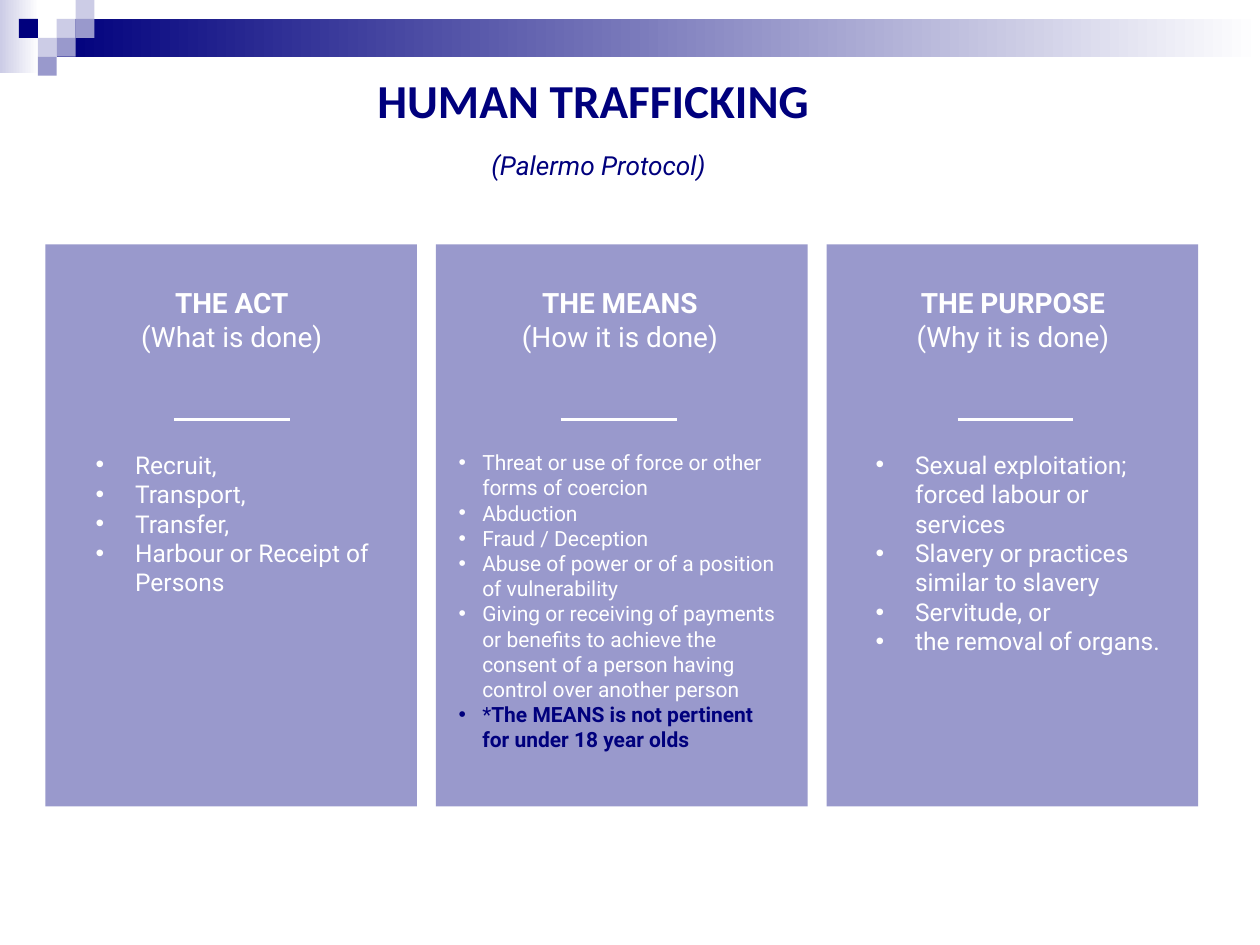
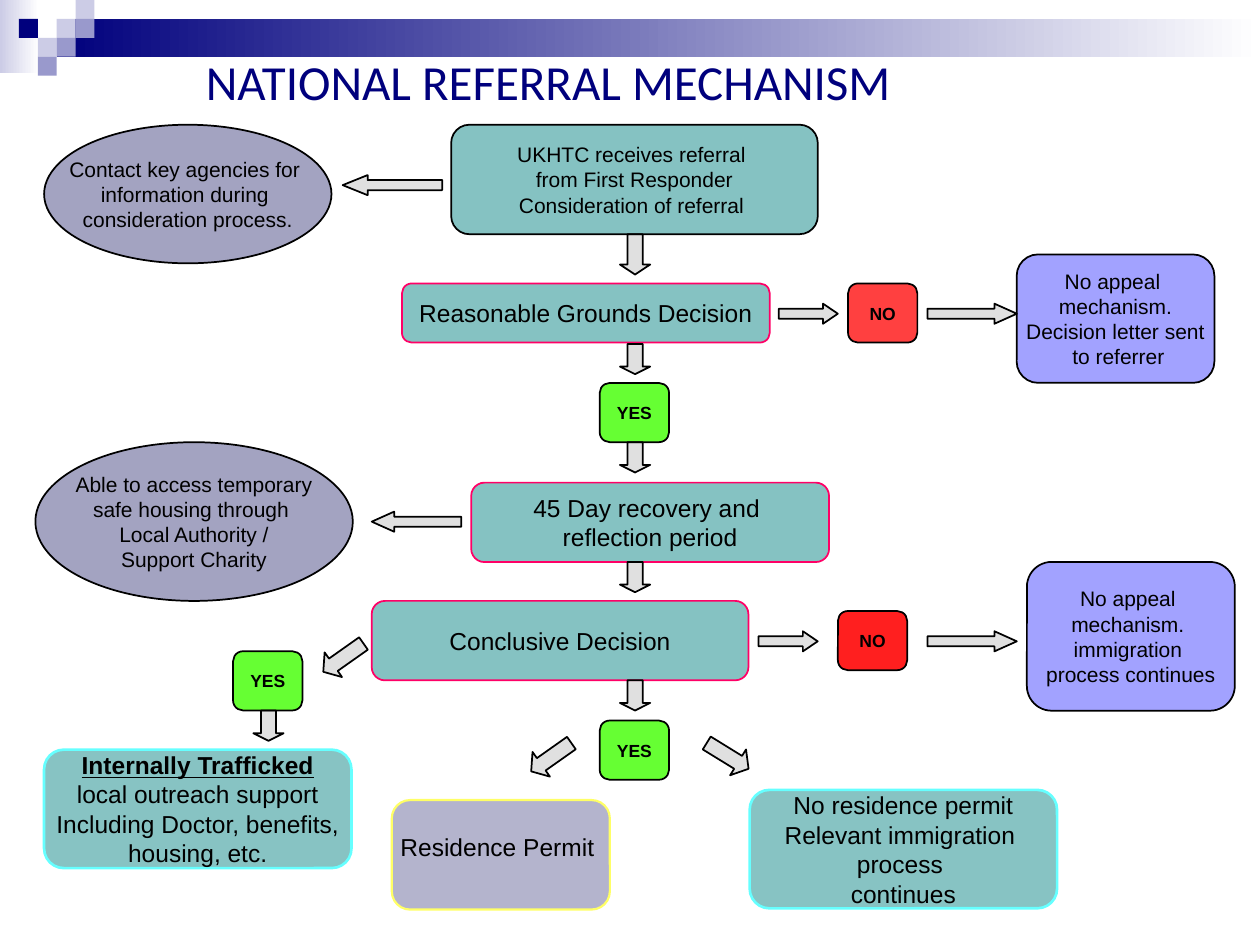
from dataclasses import dataclass
from typing import Any

from lxml.etree import SubElement
from pptx import Presentation
from pptx.dml.color import RGBColor
from pptx.enum.shapes import MSO_CONNECTOR as Link, MSO_SHAPE as Geo
from pptx.enum.text import MSO_ANCHOR as Anchor, MSO_AUTO_SIZE as Auto, PP_ALIGN as Align
from pptx.oxml.ns import qn
from pptx.util import Pt

NAVY, LILAC, PALE = "00007D", "9999CC", "CCCCE6"
WHITE, BLACK = "FFFFFF", "000000"
TEAL, SLATE, PINK = "008080", "666699", "FF0066"
UNIT = 10.8  # side of one square in the corner pattern

Box = tuple[float, float, float, float]
Bits = list[tuple[str, dict]]  # the runs of one paragraph


@dataclass(frozen=True)
class Card:
    head: str
    note: str
    head_x: float
    rule_x: float
    list_box: Box
    size: float
    indent: float
    items: tuple[str, ...]


@dataclass(frozen=True)
class Look:
    fill: str
    alpha: int = 100
    line: str = BLACK
    width: float = 1
    size: float = 12
    bold: bool = False
    geo: Any = Geo.ROUNDED_RECTANGLE


@dataclass(frozen=True)
class Node:
    look: Look
    box: Box
    text: str
    foot: float = 3.6  # bottom inset
    lead: bool = False  # first line bold and underlined


@dataclass(frozen=True)
class Arrow:
    """A block arrow, placed by its centre."""
    x: float
    y: float
    long: float
    thick: float = 17.3
    turn: float = 0
    flip: bool = False


STEP = Look(TEAL, 48, PINK, size=14)
START = Look(TEAL, 48)
END = Look(TEAL, 47, "66FFFF", 1.5, 14)
PERMIT = Look(SLATE, 49, "FFFF66", 1.25, 14)
SIDE = Look(SLATE, 60, geo=Geo.OVAL)
APPEAL = Look("9999FF", 91)
YES = Look("66FF33", size=10, bold=True)
NO_TOP = Look("FF0000", 75, size=10, bold=True)
NO_LOW = Look("FF0000", 88, size=10, bold=True)
FLOW = Look("C0C0C0", 48, geo=Geo.RIGHT_ARROW)

CARDS = (
    Card("THE ACT", "(What is done)", 44.6, 99.4, (47.5, 253.4, 191.5, 92.2), 14, 22.5,
         ("Recruit,", "Transport,", "Transfer,", "Harbour or Receipt of Persons")),
    Card("THE MEANS", "(How it is done)", 266.4, 320.4, (254.9, 253.4, 196.6, 181.4), 12, 13.5,
         ("Threat or use of force or other forms of coercion", "Abduction",
          "Fraud / Deception", "Abuse of power or of a position of vulnerability",
          "Giving or receiving of payments or benefits to achieve the consent "
          "of a person having control over another person",
          "*The MEANS is not pertinent for under 18 year olds")),
    Card("THE PURPOSE", "(Why it is done)", 491, 547.2, (493.2, 253.4, 191.5, 126), 14, 22.5,
         ("Sexual exploitation; forced labour or services",
          "Slavery or practices similar to slavery", "Servitude, or",
          "the removal of organs.")),
)

TAG = (39.6, 33.8)
NODES = (
    Node(START, (257.8, 71.3, 209.5, 62.6),
         "UKHTC receives referral \nfrom First Responder\nConsideration of referral "),
    Node(STEP, (229.7, 162, 210.2, 33.8), "Reasonable Grounds Decision"),
    Node(SIDE, (25.2, 71.3, 164.2, 79.2),
         "Contact key agencies for \ninformation during \nconsideration process."),
    Node(PERMIT, (223.9, 457.2, 124.6, 62.6), "Residence Permit ", foot=13),
    Node(END, (428.4, 451.4, 175.7, 67.7),
         "No residence permit\nRelevant immigration \nprocess \ncontinues"),
    Node(STEP, (212.4, 343.4, 215.3, 45.4), "Conclusive Decision"),
    Node(STEP, (269.3, 275.8, 204.5, 45.4), "45 Day recovery and \nreflection period"),
    Node(YES, (342.7, 218.9, *TAG), "YES"),
    Node(NO_TOP, (484.6, 162, *TAG), "NO"),
    Node(SIDE, (20.2, 252.7, 181.4, 90.7),
         "Able to access temporary\nsafe housing through \nLocal Authority /\n Support Charity "),
    Node(APPEAL, (581, 145.4, 113, 73.4),
         "No appeal \nmechanism.\nDecision letter sent\n to referrer"),
    Node(APPEAL, (586.8, 321.1, 118.8, 85),
         "No appeal \nmechanism. \nimmigration \nprocess continues"),
    Node(NO_LOW, (478.8, 349.2, *TAG), "NO"),
    Node(YES, (342.7, 411.8, *TAG), "YES"),
    Node(END, (25.2, 428.4, 175.7, 67.7),
         "Internally Trafficked\nlocal outreach support\n"
         "Including Doctor, benefits,\nhousing, etc.", lead=True),
    Node(YES, (133.2, 372.2, *TAG), "YES"),
)

AXIS = 362.9
ARROWS = (
    Arrow(224.3, 105.8, 56.9, 11.5, flip=True),
    Arrow(238, 298.1, 51.1, 11.5, 180),
    *(Arrow(555.5, y, 51.1, 11.5) for y in (179.3, 366.5)),
    Arrow(461.9, 179.3, 33.8, 11.5),
    Arrow(450.4, 366.5, 33.8, 11.5),
    Arrow(AXIS, 145.4, 23, turn=90),
    *(Arrow(AXIS, y, 17.3, turn=90) for y in (205.2, 261.4, 329.8, 397.4)),
    Arrow(153.4, 414.7, 17.3, turn=90),
    Arrow(315, 432.7, 28.1, turn=144.8),
    Arrow(415.8, 432, 28.1, turn=31.6),
    Arrow(196.2, 375.8, 28.1, turn=144.8),
)


def rgb(code: str) -> RGBColor:
    return RGBColor.from_string(code)


def apply(item: Any, **values: Any) -> None:
    for name, value in values.items():
        setattr(item, name, value)


def place(shape: Any, box: Box) -> None:
    apply(shape, **dict(zip(("left", "top", "width", "height"), map(Pt, box))))


def paint(shape: Any, code: str, alpha: int = 100) -> None:
    shape.fill.solid()
    shape.fill.fore_color.rgb = rgb(code)
    if alpha < 100:
        tint = next(shape.element.spPr.iter(qn("a:srgbClr")))
        SubElement(tint, qn("a:alpha"), val=str(alpha * 1000))


def add(slide: Any, geo: Any, box: Box) -> Any:
    shape = slide.shapes.add_shape(geo, *map(Pt, box))
    shape.shadow.inherit = False
    shape.line.fill.background()
    return shape


def dress(slide: Any, look: Look, box: Box) -> Any:
    """Add a shape with the fill and outline of a look."""
    shape = add(slide, look.geo, box)
    paint(shape, look.fill, look.alpha)
    shape.line.color.rgb = rgb(look.line)
    shape.line.width = Pt(look.width)
    return shape


def write(frame: Any, paras: list[Bits], font: str, size: float, code: str,
          align: Any = Align.CENTER, indent: float = 0) -> None:
    """Fill a frame; an indent above zero gives bullets."""
    for i, bits in enumerate(paras):
        para = frame.add_paragraph() if i else frame.paragraphs[0]
        props = para._p.get_or_add_pPr()
        props.set("marL", str(Pt(indent)))
        props.set("indent", str(-Pt(indent)))
        if indent:
            SubElement(props, qn("a:buFont"), typeface="Arial")
            SubElement(props, qn("a:buChar"), char="•")
        else:
            SubElement(props, qn("a:buNone"))
        apply(para, alignment=align, space_before=Pt(0))
        for text, extra in bits:
            run = para.add_run()
            run.text = text
            values = {"name": font, "size": Pt(size), "bold": False, **extra}
            run.font.color.rgb = rgb(values.pop("code", code))
            apply(run.font, **values)


def hold(shape: Any, box: Box, anchor: Any = Anchor.TOP) -> Any:
    """Place a text holder and return its frame."""
    place(shape, box)
    frame = shape.text_frame
    apply(frame, word_wrap=True, auto_size=Auto.NONE, vertical_anchor=anchor)
    return frame


def head(slide: Any, text: str, box: Box, size: float, bold: bool) -> None:
    frame = hold(slide.shapes.title, box, Anchor.MIDDLE)
    write(frame, [[(text, {"bold": bold})]], "Calibri", size, NAVY)


def add_band(deck: Any, slide: Any) -> None:
    """Draw the top band and its squares, then move them to the master."""
    parts = []
    for box, code in (((0, 0, 22.3, 41.8), PALE), ((32.4, 10.8, 687.6, 21.6), NAVY)):
        shape = add(slide, Geo.RECTANGLE, box)
        shape.fill.gradient()
        shape.fill.gradient_angle = 0
        for stop, tone in zip(shape.fill.gradient_stops, (code, WHITE)):
            stop.color.rgb = rgb(tone)
        parts.append(shape)
    for col, row, code in ((3, 1, PALE), (4, 0, PALE), (4, 1, LILAC), (2, 2, PALE),
                           (1, 1, NAVY), (3, 2, LILAC), (2, 3, LILAC)):
        shape = add(slide, Geo.RECTANGLE, (col * UNIT, row * UNIT, UNIT, UNIT))
        paint(shape, code)
        parts.append(shape)
    tree = deck.slide_master.shapes.element
    for i, shape in enumerate(parts):
        shape.element.nvSpPr.cNvPr.set("id", str(100 + i))
        tree.insert(2 + i, shape.element)


def split(item: str) -> Bits:
    """Set a starred item in navy, with all but the star bold."""
    if item.startswith("*"):
        return [("*", {"code": NAVY}), (item[1:], {"code": NAVY, "bold": True})]
    return [(item, {})]


def add_card(slide: Any, card: Card, rank: int) -> None:
    panel = add(slide, Geo.RECTANGLE, (25.9 + 223.2 * rank, 139.7, 212.4, 321.1))
    paint(panel, LILAC)
    top = slide.shapes.add_textbox(0, 0, 0, 0)
    write(hold(top, (card.head_x, 159.8, 175.7, 46.1)),
          [[(card.head, {"bold": True})], [(card.note, {})]], "Roboto", 16, WHITE)
    rule = slide.shapes.add_connector(
        Link.STRAIGHT, *map(Pt, (card.rule_x, 239.8, card.rule_x + 66.2, 239.8)))
    rule.line.color.rgb = rgb(WHITE)
    rule.line.width = Pt(2)
    SubElement(rule.element.spPr, qn("a:effectLst"))
    body = slide.placeholders[rank + 2]
    slide.shapes.element.append(body.element)  # bring in front of the panel
    write(hold(body, card.list_box), [split(item) for item in card.items],
          "Roboto", card.size, WHITE, Align.LEFT, card.indent)


def add_node(slide: Any, node: Node) -> None:
    shape = dress(slide, node.look, node.box)
    frame = shape.text_frame
    apply(frame, word_wrap=False, vertical_anchor=Anchor.MIDDLE, margin_bottom=Pt(node.foot))
    paras = [[(line, {"bold": node.look.bold})] for line in node.text.split("\n")]
    if node.lead:
        paras[0][0][1].update(bold=True, underline=True)
    write(frame, paras, "Arial", node.look.size, BLACK)


def add_arrow(slide: Any, arrow: Arrow) -> None:
    box = (arrow.x - arrow.long / 2, arrow.y - arrow.thick / 2, arrow.long, arrow.thick)
    shape = dress(slide, FLOW, box)
    shape.adjustments[1] = arrow.long / arrow.thick / 4
    shape.rotation = arrow.turn
    if arrow.flip:
        shape.element.spPr.xfrm.set("flipH", "1")


def main() -> None:
    deck = Presentation()
    apply(deck, slide_width=Pt(720), slide_height=Pt(540))

    slide = deck.slides.add_slide(deck.slide_layouts.get_by_name("Comparison"))
    add_band(deck, slide)
    head(slide, "HUMAN TRAFFICKING ", (141.1, 36.7, 401.8, 40.3), 27, True)
    write(hold(slide.placeholders[1], (141.1, 81.4, 401.8, 25.2)),
          [[("(Palermo Protocol)", {"italic": True})]], "Roboto", 15, NAVY)
    for rank, card in enumerate(CARDS):
        add_card(slide, card, rank)

    slide = deck.slides.add_slide(deck.slide_layouts.get_by_name("Title Only"))
    head(slide, "NATIONAL REFERRAL MECHANISM", (54, 20.9, 518.4, 51.1), 28, False)
    for node in NODES:
        add_node(slide, node)
    for arrow in ARROWS:
        add_arrow(slide, arrow)

    deck.save("out.pptx")


if __name__ == "__main__":
    main()
